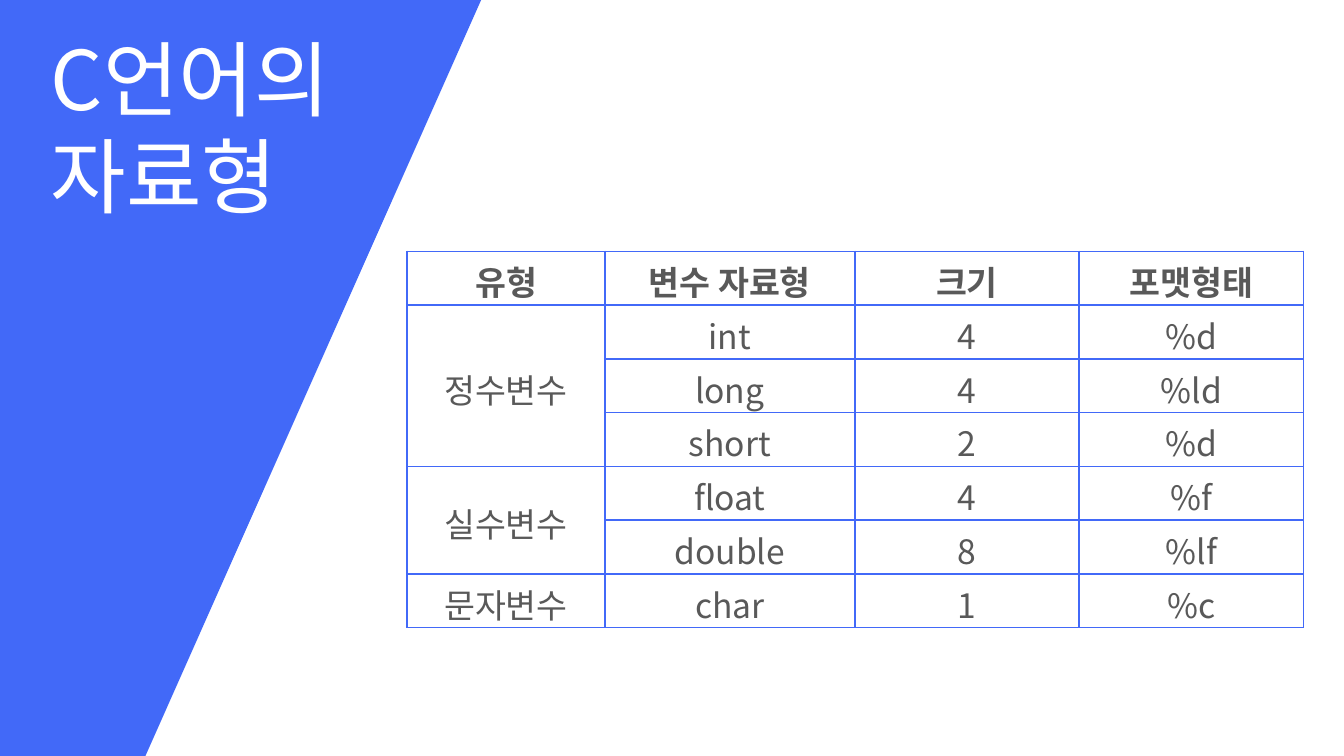
from pptx import Presentation
from pptx import util as u
from pptx.dml import color
from pptx.enum import shapes, text
from lxml import etree

FONT = "Noto Sans CJK KR"
BLUE, WHITE, GRAY = "4269F8", "FFFFFF", "595959"
A = "{http://schemas.openxmlformats.org/drawingml/2006/main}"


def write(paragraph, words, size, hex_color, bold=False):
    """Fill a paragraph with one run, in the same face for Latin and Korean."""
    run = paragraph.add_run()
    run.text = words
    for font in (paragraph.font, run.font):
        font.name, font.size, font.bold = FONT, u.Pt(size), bold
        font.color.rgb = color.RGBColor.from_string(hex_color)
    etree.SubElement(run.font._element, A + "ea", typeface=FONT)


def add_borders(cell, sides, hex_color, points):
    """Draw the given sides (letters of LRTB) and clear the others."""
    properties = cell._tc.get_or_add_tcPr()
    for position, side in enumerate("LRTB"):
        line = etree.Element(A + "ln" + side, w=str(u.Pt(points)))
        if side in sides:
            fill = etree.SubElement(line, A + "solidFill")
            etree.SubElement(fill, A + "srgbClr", val=hex_color)
        else:
            etree.SubElement(line, A + "noFill")
        properties.insert(position, line)


presentation = Presentation()
presentation.slide_width = u.Inches(10)
presentation.slide_height = presentation.slide_width * 9 // 16
slide = presentation.slides.add_slide(presentation.slide_layouts[6])

# Slanted blue panel
panel = slide.shapes.add_shape(
    shapes.MSO_SHAPE.PARALLELOGRAM, u.Inches(-2.8), 0, u.Inches(6.38), u.Inches(6.03))
panel.adjustments[0] = 0.444
panel.shadow.inherit = False
panel.fill.solid()
panel.fill.fore_color.rgb = color.RGBColor.from_string(BLUE)
panel.line.fill.background()

# Title
title = slide.shapes.add_textbox(u.Inches(0.28), u.Inches(0.16), u.Inches(2.69), u.Inches(1.58))
frame = title.text_frame
frame.word_wrap = False
frame.auto_size = text.MSO_AUTO_SIZE.SHAPE_TO_FIT_TEXT
frame.margin_top = u.Inches(0.06)
for index, words in enumerate(("C언어의", "자료형")):
    paragraph = frame.add_paragraph() if index else frame.paragraphs[0]
    paragraph.line_spacing = u.Pt(52)
    write(paragraph, words, 44, WHITE)

# Table of data types; an empty first entry continues the group above,
# and the last row is one open cell that closes the table
rows = [
    ("유형", "변수 자료형", "크기", "포맷형태"),
    ("정수변수", "int", "4", "%d"),
    ("", "long", "4", "%ld"),
    ("", "short", "2", "%d"),
    ("실수변수", "float", "4", "%f"),
    ("", "double", "8", "%lf"),
    ("문자변수", "char", "1", "%c"),
    ("", "", "", ""),
]
widths = (1.47, 1.86, 1.67, 1.67)
row_height = 0.4
last_row = len(rows) - 1
table = slide.shapes.add_table(
    len(rows), len(widths), u.Inches(3.03), u.Inches(1.87),
    u.Inches(sum(widths)), u.Inches(row_height * len(rows))).table
table.first_row = table.horz_banding = False
for column, width in zip(table.columns, widths):
    column.width = u.Inches(width)

for row_index, row in enumerate(rows):
    for column_index, words in enumerate(row):
        cell = table.cell(row_index, column_index)
        cell.fill.background()
        add_borders(cell, "T" if row_index == last_row else "LRTB", BLUE, 1)
        cell.margin_top, cell.margin_bottom = u.Inches(0.04), 0
        cell.vertical_anchor = text.MSO_ANCHOR.MIDDLE
        paragraph = cell.text_frame.paragraphs[0]
        paragraph.alignment = text.PP_ALIGN.CENTER
        if words:
            write(paragraph, words, 18, GRAY, bold=row_index == 0)

for top, bottom, right in ((1, 3, 0), (4, 5, 0), (last_row, last_row, len(widths) - 1)):
    table.cell(top, 0).merge(table.cell(bottom, right))

presentation.save("out.pptx")
